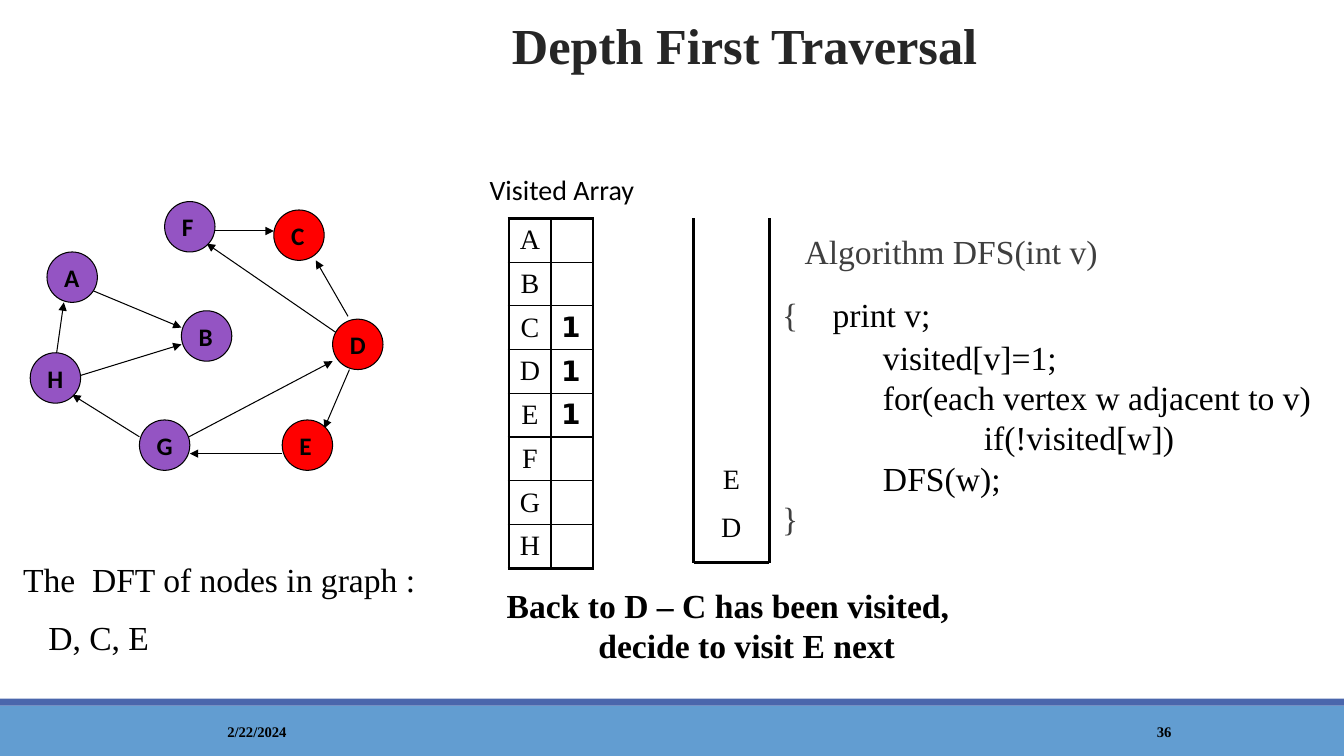
from lxml import etree
from pptx import Presentation
from pptx.dml.color import RGBColor
from pptx.enum.shapes import MSO_CONNECTOR, MSO_SHAPE
from pptx.enum.text import MSO_ANCHOR, PP_ALIGN
from pptx.oxml.ns import qn
from pptx.util import Pt

LEFT, CENTER = PP_ALIGN.LEFT, PP_ALIGN.CENTER
TOP, MIDDLE = MSO_ANCHOR.TOP, MSO_ANCHOR.MIDDLE
OVAL, RECTANGLE = MSO_SHAPE.OVAL, MSO_SHAPE.RECTANGLE
STRAIGHT = MSO_CONNECTOR.STRAIGHT

BLACK = RGBColor(0x00, 0x00, 0x00)
TITLE_GRAY = RGBColor(0x26, 0x26, 0x26)
CODE_GRAY = RGBColor(0x3F, 0x3F, 0x3F)
PURPLE = RGBColor(0x94, 0x54, 0xC3)
RED = RGBColor(0xFF, 0x00, 0x00)
BAND_BLUE = RGBColor(0x62, 0x9D, 0xD1)
RULE_BLUE = RGBColor(0x4A, 0x66, 0xAC)

SERIF, SANS, MARK_FONT = "Times New Roman", "Calibri", "DejaVu Sans"
THIN, THICK = 1, 2.25

NODE_SIZE = 36
NODES = {"A": (12, 36), "H": (0, 108), "B": (108, 78), "F": (96, 0),
         "E": (180, 156), "D": (216, 84), "C": (174, 6), "G": (78, 156)}
VISITED = "CDE"
EDGES = [((222, 96), (126, 30)), ((228, 120), (210, 162)), ((30, 126), (108, 102)),
         ((102, 174), (216, 114)), ((18, 114), (24, 72)), ((36, 60), (108, 90)),
         ((227, 82), (204, 42)), ((180, 180), (114, 180)), ((78, 168), (30, 138)),
         ((132, 21), (174, 21))]
STACK = ["E", "D"]


def style_run(run, size, font=SERIF, color=BLACK, bold=False):
    """Set the font, size, colour and weight of a run."""
    run.font.name, run.font.size, run.font.bold = font, Pt(size), bold
    run.font.color.rgb = color


def set_indent(paragraph, margin, first=0):
    """Set the left margin and first line indent of a paragraph."""
    properties = paragraph._p.get_or_add_pPr()
    properties.set("marL", str(Pt(margin)))
    properties.set("indent", str(Pt(first)))


def add_text(slide, box, lines, size, align=LEFT, anchor=TOP, before=0, side=7.2, **font):
    """Add a text box with one paragraph per line and return its paragraphs."""
    frame = slide.shapes.add_textbox(*map(Pt, box)).text_frame
    frame.word_wrap = True
    frame.vertical_anchor = anchor
    frame.margin_left = frame.margin_right = Pt(side)
    frame.text = "\n".join(lines)
    for number, paragraph in enumerate(frame.paragraphs):
        paragraph.alignment = align
        if number and before:
            paragraph.space_before = Pt(before)
        for run in paragraph.runs:
            style_run(run, size, **font)
    return frame.paragraphs


def add_line(slide, start, end, width, arrow=False):
    """Draw a black straight line, with an arrowhead at its end if asked."""
    line = slide.shapes.add_connector(STRAIGHT, *map(Pt, (*start, *end)))
    line.line.color.rgb = BLACK
    line.line.width = Pt(width)
    if arrow:
        etree.SubElement(line.line._get_or_add_ln(), qn("a:tailEnd"), type="triangle")
    etree.SubElement(line._element.spPr, qn("a:effectLst"))


def add_filled(slide, kind, box, color):
    """Add a preset shape with a plain fill and no outline."""
    shape = slide.shapes.add_shape(kind, *map(Pt, box))
    shape.shadow.inherit = False
    shape.fill.solid()
    shape.fill.fore_color.rgb = color
    shape.line.fill.background()
    return shape


def add_footer(slide, left, top, width, height):
    """Draw the footer bands with the date and slide number."""
    add_filled(slide, RECTANGLE, (left, top + 5, width, height - 5), BAND_BLUE)
    add_filled(slide, RECTANGLE, (left, top, width, 5), RULE_BLUE)
    for text, offset, label_width in (("2/22/2024", 86.4, 194.4), ("36", 780, 103)):
        add_text(slide, (left + offset, top + 9.3, label_width, 28.8), [text], 10.5,
                 CENTER, MIDDLE, bold=True)


def add_graph(slide, left, top):
    """Draw the directed graph with its visited nodes in red."""
    for edge in EDGES:
        start, end = [(left + x, top + y) for x, y in edge]
        add_line(slide, start, end, 0.75, arrow=True)
    for name, (x, y) in NODES.items():
        color = RED if name in VISITED else PURPLE
        node = add_filled(slide, OVAL, (left + x, top + y, NODE_SIZE, NODE_SIZE), color)
        node.line.color.rgb = BLACK
        node.line.width = Pt(0.75)
        frame = node.text_frame
        frame.text = name
        frame.vertical_anchor = MIDDLE
        frame.paragraphs[0].alignment = LEFT
        style_run(frame.paragraphs[0].runs[0], 18, SANS, bold=True)


def set_borders(cell, widths):
    """Give a cell black borders of the widths listed by side."""
    properties = cell._tc.get_or_add_tcPr()
    for side, width in widths.items():
        line = etree.SubElement(properties, qn(f"a:ln{side}"), w=str(Pt(width)))
        fill = etree.SubElement(line, qn("a:solidFill"))
        etree.SubElement(fill, qn("a:srgbClr"), val=str(BLACK))


def add_visited_array(slide, left, top, column_width, row_height):
    """Draw the captioned table that marks the visited nodes."""
    add_text(slide, (left - 21, top - 36, 132, 31), ["Visited Array"], 20, font=SANS)
    names = sorted(NODES)
    last = len(names) - 1
    table = slide.shapes.add_table(len(names), 2, *map(Pt, (
        left, top, 2 * column_width, len(names) * row_height))).table
    table.first_row = table.horz_banding = False
    for column in table.columns:
        column.width = Pt(column_width)
    for row, name in enumerate(names):
        table.rows[row].height = Pt(row_height)
        for column, text in enumerate((name, "1" if name in VISITED else "")):
            cell = table.cell(row, column)
            cell.text = text
            cell.vertical_anchor = MIDDLE
            paragraph = cell.text_frame.paragraphs[0]
            paragraph.alignment = LEFT if column else CENTER
            for run in paragraph.runs:
                style_run(run, 20, MARK_FONT if column else SERIF, bold=column == 1)
            set_borders(cell, {"L": THIN if column else THICK,
                               "R": THICK if column else THIN,
                               "T": THIN if row else THICK,
                               "B": THICK if row == last else THIN})
            cell.fill.background()


def add_stack(slide, left, top, width, height):
    """Draw the open-topped stack with its entries at the bottom."""
    right, bottom = left + width, top + height
    for start, end in (((left, top), (left, bottom)), ((right, top), (right, bottom)),
                       ((left, bottom), (right, bottom))):
        add_line(slide, start, end, THICK)
    add_text(slide, (left, bottom - 76, width, 70), STACK, 20, CENTER, before=10)


def add_code(slide, left, top, width, height):
    """Write the traversal algorithm with its indented steps."""
    lines = ["Algorithm DFS(int v)", "{\t", "visited[v]=1;", "for(each vertex w adjacent to v)",
             "if(!visited[w])", "DFS(w);", "}"]
    paragraphs = add_text(slide, (left, top, width, height), lines, 24, side=0, color=CODE_GRAY)
    for paragraph, margin in zip(paragraphs, (16, 0, 72, 72, 144, 72, 0)):
        set_indent(paragraph, margin)
    opening = paragraphs[1]
    opening.space_before = Pt(16)
    paragraphs[2].space_before = Pt(2)
    tabs = etree.SubElement(opening._p.get_or_add_pPr(), qn("a:tabLst"))
    etree.SubElement(tabs, qn("a:tab"), pos=str(Pt(77.5)), algn="l")
    statement = opening.add_run()
    statement.text = "print v;"
    style_run(statement, 24)
    for paragraph in paragraphs[2:6]:
        paragraph.runs[0].font.color.rgb = BLACK


def add_captions(slide, left, top):
    """Write the traversal so far and the current step."""
    result = add_text(slide, (left, top, 324, 80), ["The  DFT of nodes in graph :", "D, C, E"],
                      24, before=12)
    set_indent(result[1], 18)
    step = add_text(slide, (left + 336.5, top + 18, 348, 65.5),
                    ["Back to D – C has been visited, decide to visit E next"],
                    24, CENTER, bold=True)
    set_indent(step[0], 27, -27)


def main():
    """Build the slide and save it."""
    presentation = Presentation()
    presentation.slide_width, presentation.slide_height = Pt(960), Pt(540)
    slide = presentation.slides.add_slide(presentation.slide_layouts[6])
    add_footer(slide, 0, 499, 960, 41)
    title = add_text(slide, (124, 13, 816, 53), ["Depth First Traversal"], 36, CENTER,
                     color=TITLE_GRAY, bold=True)
    title[0].line_spacing = 0.85
    add_graph(slide, 21.6, 144)
    add_visited_array(slide, 363.6, 156, 30, 29.3)
    add_stack(slide, 495.4, 156, 54, 246)
    add_code(slide, 558.7, 161.3, 389.5, 229)
    add_captions(slide, 9.4, 396)
    presentation.save("out.pptx")


if __name__ == "__main__":
    main()
